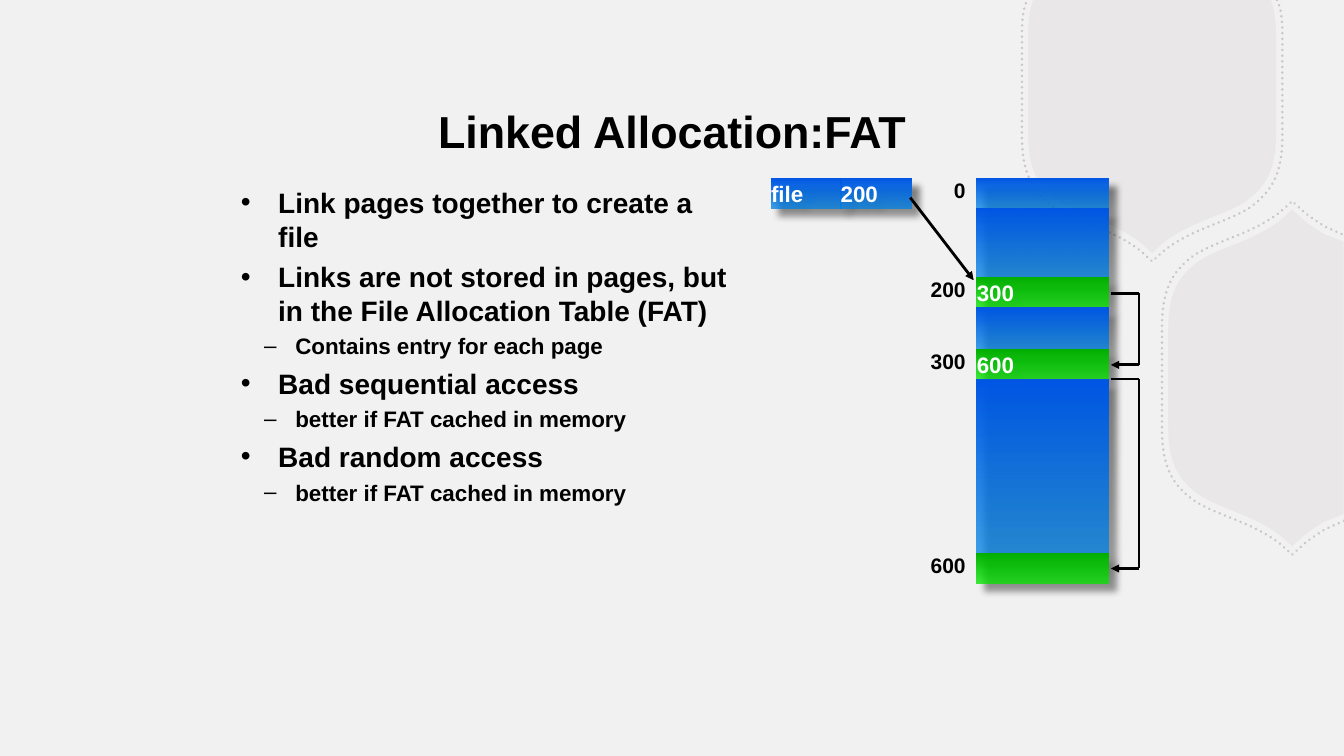
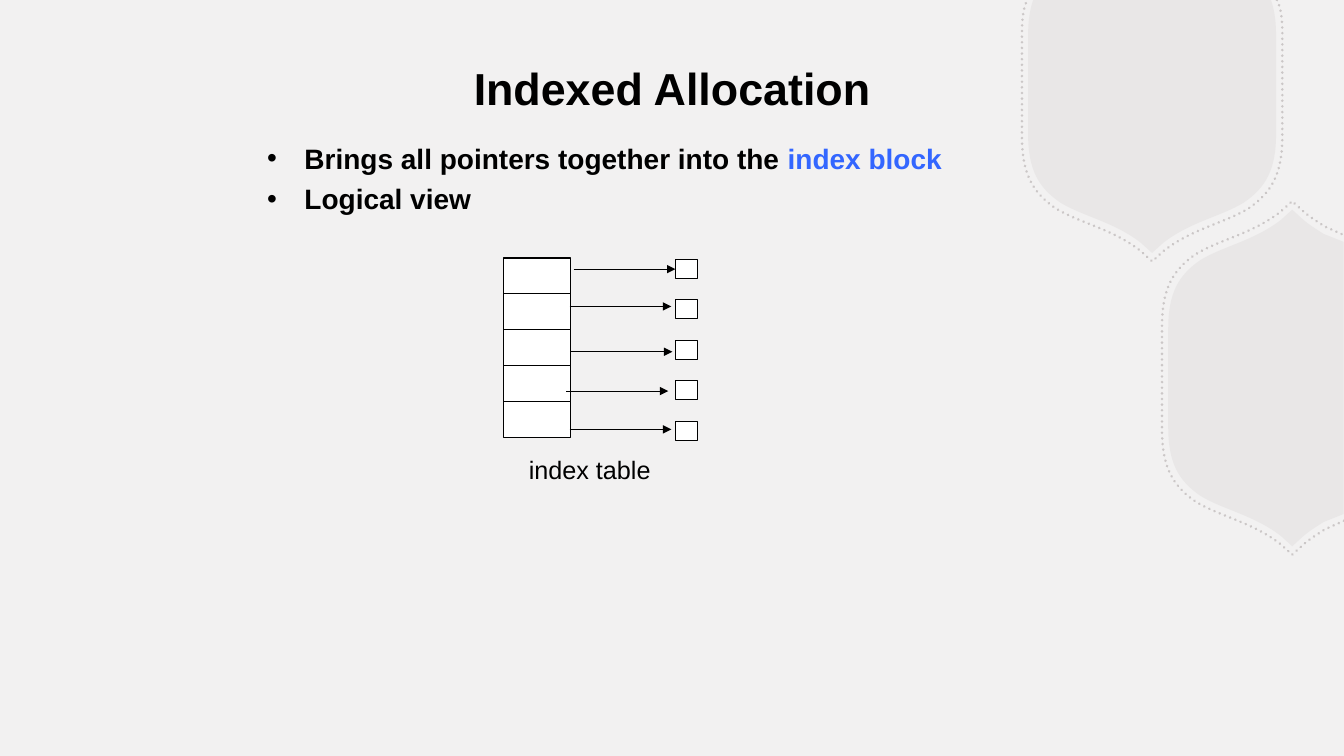
from dataclasses import dataclass

from lxml import etree
from pptx import Presentation
from pptx.dml.color import RGBColor
from pptx.enum.dml import MSO_LINE
from pptx.enum.shapes import MSO_CONNECTOR, MSO_SHAPE
from pptx.enum.text import MSO_ANCHOR, MSO_AUTO_SIZE, PP_ALIGN
from pptx.oxml.ns import qn
from pptx.util import Inches, Pt

RECT = MSO_SHAPE.RECTANGLE
STRAIGHT = MSO_CONNECTOR.STRAIGHT
DOTTED = MSO_LINE.ROUND_DOT
TOP, MIDDLE = MSO_ANCHOR.TOP, MSO_ANCHOR.MIDDLE
LEFT, CENTER, RIGHT = PP_ALIGN.LEFT, PP_ALIGN.CENTER, PP_ALIGN.RIGHT
NO_FIT = MSO_AUTO_SIZE.NONE
WIDTH, HEIGHT = 40 / 3, 7.5


@dataclass(frozen=True)
class Theme:
    font: str = "Arial"
    back: RGBColor = RGBColor(0xF2, 0xF1, 0xF1)
    badge: RGBColor = RGBColor(0xB8, 0xB2, 0xB2)
    ink: RGBColor = RGBColor(0, 0, 0)
    paper: RGBColor = RGBColor(0xFF, 0xFF, 0xFF)
    accent: RGBColor = RGBColor(0x33, 0x66, 0xFF)
    blue: tuple = (RGBColor(0x00, 0x57, 0xE5), RGBColor(0x00, 0x82, 0xE5))
    green: tuple = (RGBColor(0x02, 0xB0, 0x00), RGBColor(0x05, 0xE5, 0x00))
    title: int = 32
    caption: int = 18
    block: int = 16
    label: int = 15
    bullets: tuple = (("•", 20, 0.37, 0.37, 5), ("–", 16, 0.54, 0.31, 4))


def child(parent, tag, **attrs):
    return etree.SubElement(parent, qn(tag), {k: str(v) for k, v in attrs.items()})


def set_alpha(sp, percent):
    color = list(sp.element.spPr.iter(qn("a:srgbClr")))[-1]
    child(color, "a:alpha", val=percent * 1000)


def badge_outlines():
    sweep = [(0, 1.67), (0.11, 1.57), (0.38, 1.36), (0.68, 1.31), (0.91, 1.17),
             (1.13, 1.02), (1.23, 0.84), (1.23, 0.49)]
    half = sweep + [(1.23, -0.48), (1.23, -0.61), (1.22, -0.72), (1.18, -0.84)]
    upper = half[::-1] + [(-x, y) for x, y in half[1:]]
    half = [(0.51, 1.35), (0.31, 1.43), (0.25, 1.47), (0.18, 1.51), (0.11, 1.57)]
    half += [(-x, y) for x, y in sweep]
    lower = half + [(x, -y) for x, y in reversed(half)]
    return (((11.43, 0.84), upper, "CLCCLLCCLC"),
            ((12.82, 3.75), lower, "LCLLCCLCCLLCL"))


class Deck:
    def __init__(self, theme):
        self.theme = theme
        self.prs = Presentation()
        self.prs.slide_width, self.prs.slide_height = Inches(WIDTH), Inches(HEIGHT)
        self.layout = self.prs.slide_layouts[1]
        fill = self.prs.slide_master.background.fill
        fill.solid()
        fill.fore_color.rgb = theme.back
        self.s = None

    def slide(self):
        self.s = self.prs.slides.add_slide(self.layout)

    def font(self, p, size, color, bold=True):
        f = p.font
        f.name, f.size, f.bold = self.theme.font, Pt(size), bold
        f.color.rgb = color

    def place(self, sp, x, y, w, h):
        sp.left, sp.top, sp.width, sp.height = map(Inches, (x, y, w, h))

    def title(self, text, x, y, w, h):
        sp = self.s.shapes.title
        self.place(sp, x, y, w, h)
        tf = sp.text_frame
        tf.text = text
        tf.auto_size, tf.vertical_anchor = NO_FIT, MIDDLE
        p = tf.paragraphs[0]
        p.alignment = CENTER
        self.font(p, self.theme.title, self.theme.ink)

    def bullets(self, items, x, y, w, h):
        sp = self.s.placeholders[1]
        self.place(sp, x, y, w, h)
        tf = sp.text_frame
        tf.auto_size, tf.vertical_anchor = NO_FIT, TOP
        for i, (level, text, *accent) in enumerate(items):
            p = tf.add_paragraph() if i else tf.paragraphs[0]
            mark, size, indent, hanging, gap = self.theme.bullets[level]
            p.level = level
            p.space_before = Pt(gap if i else 0)
            pPr = p._p.get_or_add_pPr()
            pPr.set("marL", str(Inches(indent)))
            pPr.set("indent", str(-Inches(hanging)))
            color = child(pPr, "a:buClr")
            child(color, "a:srgbClr", val=self.theme.ink)
            child(pPr, "a:buChar", char=mark)
            self.font(p, size, self.theme.ink)
            p.add_run().text = text
            for word in accent:
                r = p.add_run()
                r.text = word
                r.font.color.rgb = self.theme.accent

    def label(self, text, x, y, w, h, size, align, bold=True):
        tf = self.s.shapes.add_textbox(*map(Inches, (x, y, w, h))).text_frame
        tf.margin_left = tf.margin_right = tf.margin_top = tf.margin_bottom = 0
        tf.word_wrap, tf.vertical_anchor = True, MIDDLE
        tf.text = text
        p = tf.paragraphs[0]
        p.alignment = align
        self.font(p, size, self.theme.ink, bold)

    def rect(self, x, y, w, h):
        sp = self.s.shapes.add_shape(RECT, *map(Inches, (x, y, w, h)))
        sp.shadow.inherit = False
        return sp

    def cell(self, x, y, w, h):
        sp = self.rect(x, y, w, h)
        sp.fill.solid()
        sp.fill.fore_color.rgb = self.theme.paper
        sp.line.color.rgb, sp.line.width = self.theme.ink, Pt(0.75)

    def block(self, x, y, w, h, colors, text=""):
        sp = self.rect(x, y, w, h)
        sp.line.fill.background()
        sp.fill.gradient()
        sp.fill.gradient_angle = 270
        for stop, color in zip(sp.fill.gradient_stops, colors):
            stop.color.rgb = color
        set_alpha(sp, 75)
        effects = sp.element.spPr.find(qn("a:effectLst"))
        shadow = child(effects, "a:outerShdw", blurRad=Pt(5), dist=Pt(8),
                       dir=45 * 60000, algn="tl", rotWithShape=0)
        child(shadow, "a:srgbClr", val=self.theme.ink)
        set_alpha(sp, 50)
        if text:
            tf = sp.text_frame
            tf.margin_left = tf.margin_right = tf.margin_top = tf.margin_bottom = 0
            tf.vertical_anchor = MIDDLE
            tf.text = text
            p = tf.paragraphs[0]
            p.alignment = LEFT
            self.font(p, self.theme.block, self.theme.paper)

    def line(self, x1, y1, x2, y2, width, arrow=False):
        c = self.s.shapes.add_connector(STRAIGHT, *map(Inches, (x1, y1, x2, y2)))
        c.line.color.rgb, c.line.width = self.theme.ink, Pt(width)
        spPr = c.element.spPr
        if arrow:
            child(spPr.find(qn("a:ln")), "a:tailEnd", type="triangle")
        child(spPr, "a:effectLst")

    def freeform(self, center, points, kinds, scale, close):
        cx, cy = center
        points = [(Inches(min(cx + scale * x, WIDTH)), Inches(max(cy + scale * y, 0)))
                  for x, y in points]
        builder = self.s.shapes.build_freeform(*points[0], scale=1.0)
        builder.add_line_segments(points[1:], close=close)
        sp = builder.convert_to_shape()
        sp.shadow.inherit = False
        steps = iter(list(sp.element.spPr.iter(qn("a:lnTo"))))
        for kind in kinds:
            step = next(steps)
            if kind == "C":
                bezier = etree.Element(qn("a:cubicBezTo"))
                step.addprevious(bezier)
                for part in (step, next(steps), next(steps)):
                    bezier.append(part[0])
                    part.getparent().remove(part)
        return sp

    def badge(self, center, points, kinds):
        body = self.freeform(center, points, kinds, 1, True)
        body.fill.solid()
        body.fill.fore_color.rgb = self.theme.badge
        set_alpha(body, 15)
        body.line.fill.background()

        rim = self.freeform(center, points, kinds, 1.05, False)
        rim.fill.background()
        rim.line.color.rgb, rim.line.width = self.theme.badge, Pt(2)
        rim.line.dash_style = DOTTED
        rim.element.spPr.find(qn("a:ln")).set("cap", "rnd")
        set_alpha(rim, 65)

        tree = self.layout.shapes.element
        for sp in (rim, body):
            sp.element.nvSpPr.cNvPr.set("id", str(100 + len(tree)))
            tree.insert(2, sp.element)


def linked_allocation(deck):
    theme = deck.theme
    deck.title("Linked Allocation:FAT", 2.42, 0.67, 8.5, 1.25)
    deck.bullets([
        (0, "Link pages together to create a file"),
        (0, "Links are not stored in pages, but in the File Allocation Table (FAT)"),
        (1, "Contains entry for each page"),
        (0, "Bad sequential access"),
        (1, "better if FAT cached in memory"),
        (0, "Bad random access"),
        (1, "better if FAT cached in memory"),
    ], 2.29, 1.79, 5.04, 5.05)

    top = 1.77
    for i, text in enumerate(("file", "200")):
        deck.block(7.65 + 0.69 * i, top, 0.7, 0.3, theme.blue, text)
    for height, colors, page, link in (
        (0.3, theme.blue, "0", ""),
        (0.68, theme.blue, "", ""),
        (0.3, theme.green, "200", "300"),
        (0.42, theme.blue, "", ""),
        (0.3, theme.green, "300", "600"),
        (1.72, theme.blue, "", ""),
        (0.3, theme.green, "600", ""),
    ):
        deck.block(9.69, top, 1.31, height, colors, link)
        if page:
            deck.label(page, 9.08, top - 0.01, 0.5, 0.25, theme.label, RIGHT)
        top += height

    deck.line(9.03, 1.96, 9.66, 2.78, 2, arrow=True)
    for start, end in ((2.91, 3.62), (3.76, 5.64)):
        deck.line(11.02, start, 11.3, start, 2)
        deck.line(11.3, start, 11.3, end, 2)
        deck.line(11.3, end, 11.02, end, 2, arrow=True)


def indexed_allocation(deck):
    deck.title("Indexed Allocation", 2.42, 0.55, 8.5, 0.63)
    deck.bullets([
        (0, "Brings all pointers together into the ", "index block"),
        (0, "Logical view"),
    ], 2.55, 1.35, 9, 1.03)

    arrows = ((5.69, 2.67), (5.65, 3.04), (5.66, 3.49), (5.62, 3.88), (5.65, 4.26))
    row = 1.78 / len(arrows)
    pitch = 1.61 / (len(arrows) - 1)
    for i, (x, y) in enumerate(arrows):
        deck.cell(5, 2.56 + row * i, 0.66, row)
        deck.cell(6.7, 2.57 + pitch * i, 0.22, 0.19)
        deck.line(x, y, x + 1.01, y, 0.75, arrow=True)
    deck.label("index table", 5.14, 4.46, 1.42, 0.4, deck.theme.caption, CENTER, bold=False)


def main():
    deck = Deck(Theme())
    deck.slide()
    for outline in badge_outlines():
        deck.badge(*outline)
    linked_allocation(deck)
    deck.slide()
    indexed_allocation(deck)
    deck.prs.save("out.pptx")


if __name__ == "__main__":
    main()
